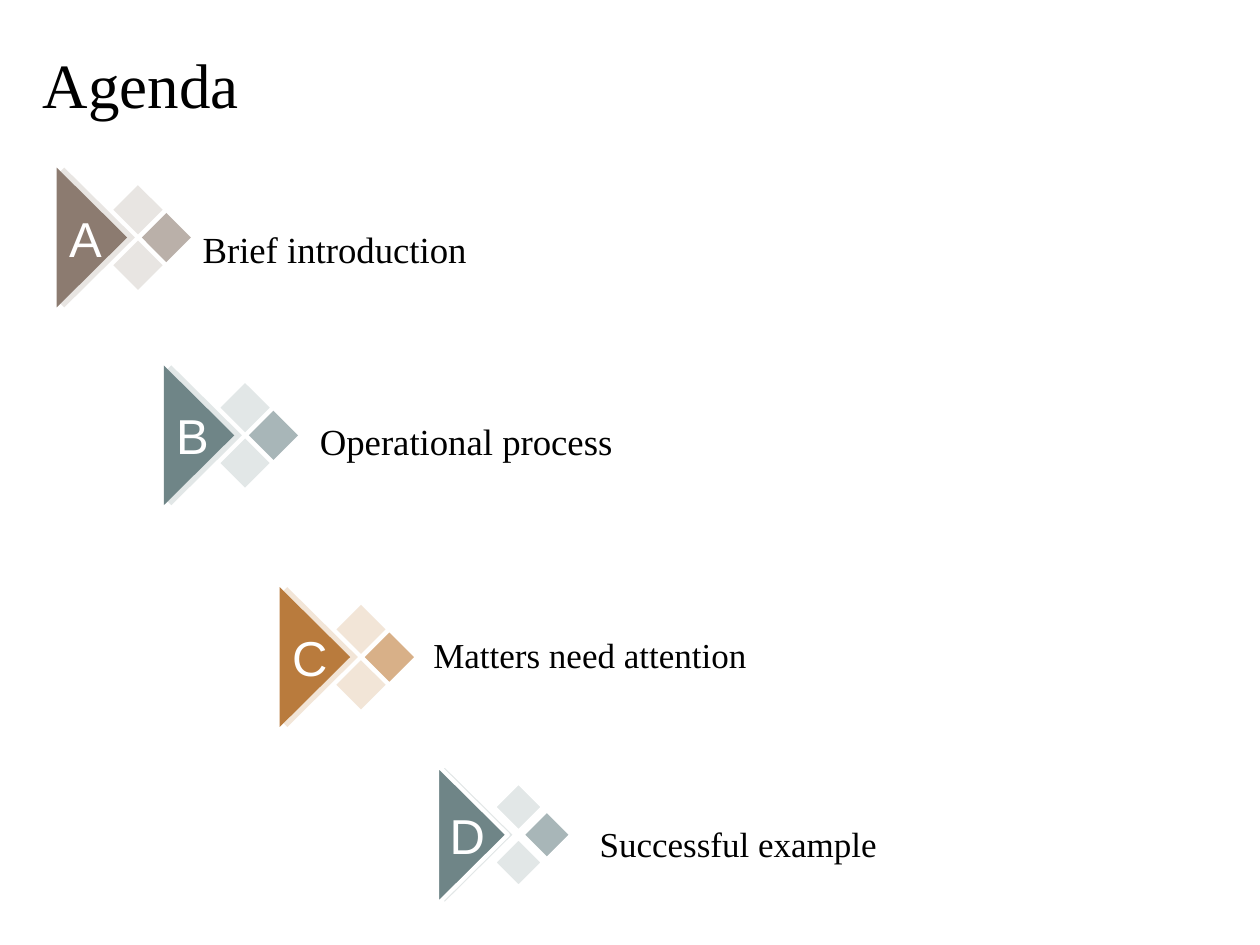
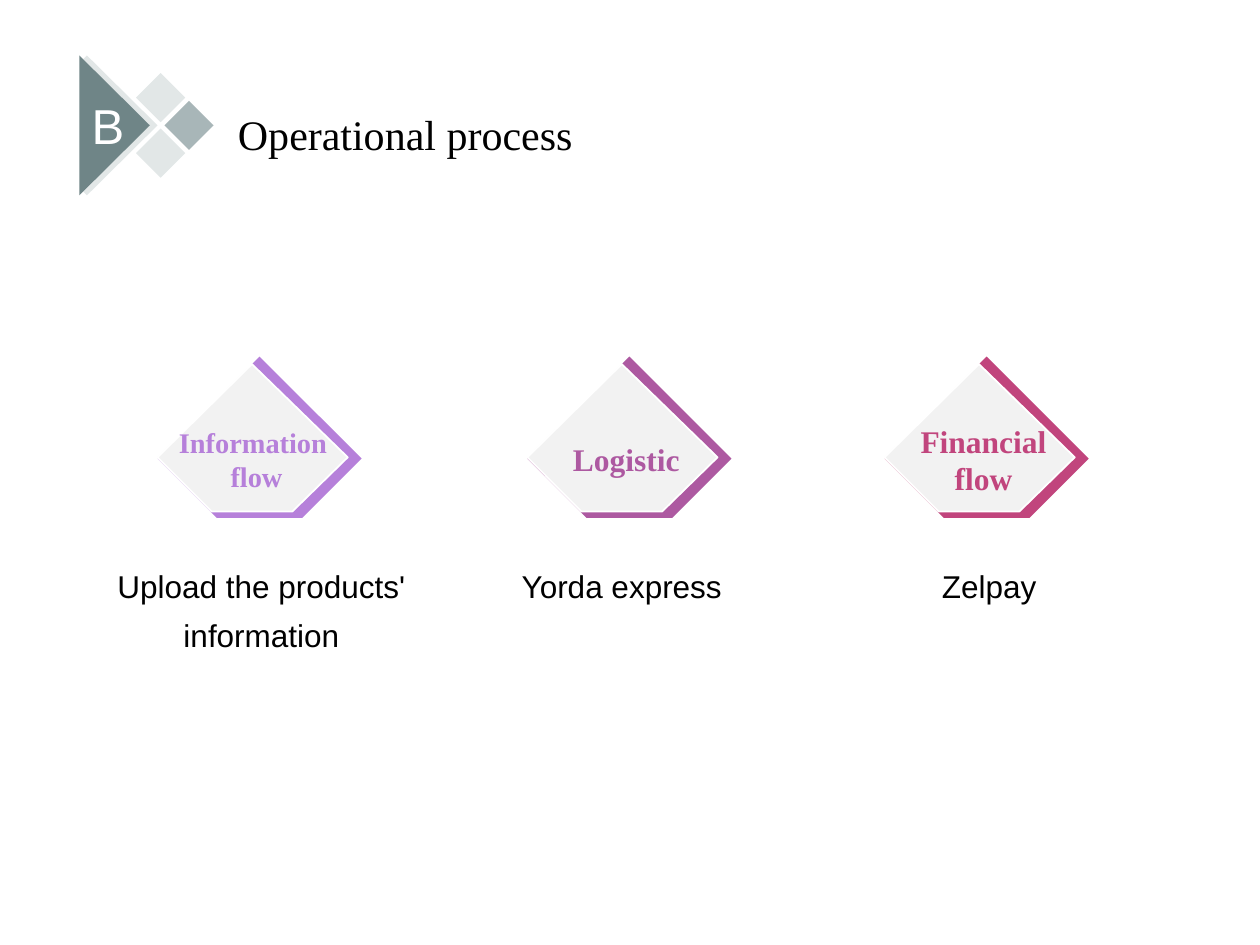
from pptx import Presentation
from pptx.dml.color import RGBColor
from pptx.enum.shapes import MSO_SHAPE
from pptx.enum.text import MSO_ANCHOR, PP_ALIGN
from pptx.util import Inches, Pt

DIAMOND = MSO_SHAPE.DIAMOND
TOP, MID, LOW = MSO_ANCHOR.TOP, MSO_ANCHOR.MIDDLE, MSO_ANCHOR.BOTTOM
LEFT, CENTER, JUST = PP_ALIGN.LEFT, PP_ALIGN.CENTER, PP_ALIGN.JUSTIFY
WIDE, HIGH = Inches(10), Inches(7.5)
COLS, ROWS = 100, 75
SERIF, SANS = "Times New Roman", "Arial"
BLACK, WHITE, PALE = "000000", "FFFFFF", "F2F2F2"
BROWN = ("8C7B70", "BAB0A9", "E8E5E2")
TEAL = ("6F8587", "A8B6B8", "E2E7E7")
AMBER = ("B97B3D", "D8B088", "F2E5D7")
ARROW = [(0, 0), (5.6, 5.55), (0, 11.1)]
SHADE = [(0.6, 0), (6.2, 5.55), (0.6, 11.1), (0.3, 10.8), (5.6, 5.55), (0.3, 0.3)]
BACK = [(8.1, 0), (16.2, 8.1), (11.5, 12.8), (4.7, 12.8), (0, 8.1)]
FRONT = [(7.5, 0.6), (15.1, 8), (10.7, 12.3), (4.3, 12.3), (0, 8)]


def color(code):
    return RGBColor.from_string(code)


class Deck:
    def __init__(self):
        self.file = Presentation()
        self.file.slide_width, self.file.slide_height = WIDE, HIGH
        self.slide = None

    def page(self):
        self.slide = self.file.slides.add_slide(self.file.slide_layouts[6])

    def spot(self, col, row):
        return round(WIDE * col / COLS), round(HIGH * row / ROWS)

    def paint(self, shape, fill, edge):
        shape.shadow.inherit = False
        shape.fill.solid()
        shape.fill.fore_color.rgb = color(fill)
        if edge:
            shape.line.color.rgb = color(WHITE)
            shape.line.width = Pt(edge)
        else:
            shape.line.fill.background()
        return shape

    def gem(self, col, row, size, fill, edge):
        box = self.spot(col, row) + self.spot(size, size)
        self.paint(self.slide.shapes.add_shape(DIAMOND, *box), fill, edge)

    def poly(self, col, row, points, fill, edge=0):
        spots = [self.spot(col + x, row + y) for x, y in points]
        outline = self.slide.shapes.build_freeform(*spots[0])
        outline.add_line_segments(spots[1:], close=True)
        return self.paint(outline.convert_to_shape(), fill, edge)

    def letter(self, shape, lines, size, font=SERIF, ink=BLACK, bold=False,
               align=LEFT, anchor=TOP, space=1.0, inset=(1, 0.5, 1, 0.5)):
        frame = shape.text_frame
        frame.word_wrap = True
        frame.vertical_anchor = anchor
        left, top, right, base = inset
        frame.margin_left, frame.margin_top = self.spot(left, top)
        frame.margin_right, frame.margin_bottom = self.spot(right, base)
        for i, line in enumerate(lines):
            para = frame.add_paragraph() if i else frame.paragraphs[0]
            para.alignment, para.line_spacing = align, space
            run = para.add_run()
            run.text = line
            run.font.name, run.font.size, run.font.bold = font, Pt(size), bold
            run.font.color.rgb = color(ink)

    def label(self, box, words, size, **style):
        place = self.spot(*box[:2]) + self.spot(*box[2:])
        self.letter(self.slide.shapes.add_textbox(*place), [words], size, **style)

    def badge(self, col, row, mark, tones, edge=0):
        dark, soft, light = tones
        for x, y, tone in ((4.5, 1.4, light), (4.5, 5.8, light), (6.75, 3.6, soft)):
            self.gem(col + x, row + y, 3.9, tone, edge)
        self.poly(col, row, SHADE, light, edge)
        self.letter(self.poly(col, row, ARROW, dark, edge), [mark], 28, font=SANS,
                    ink=WHITE, align=CENTER, anchor=MID, inset=(1, 0.5, 2.8, 0.5))

    def flow(self, col, lines, size, ink, box, note):
        self.poly(col, 28.3, BACK, ink)
        self.letter(self.poly(col, 28.3, FRONT, PALE, 1), lines, size, ink=ink,
                    bold=True, align=CENTER, anchor=MID, inset=(1.6, 3.9, 1, 0.5))
        self.label(box, note, 18, font=SANS, align=CENTER, space=1.3)


def agenda(deck):
    deck.page()
    low = {"anchor": LOW}
    loose = {"align": JUST, "space": 1.3}
    items = [
        (4.5, 13.3, "A", BROWN, 0, (15.1, 16.9, 34.3, 5.1), "Brief introduction", 21, low),
        (13, 29, "B", TEAL, 0, (24.4, 31.7, 38.8, 8.5), "Operational process", 21, loose),
        (22.2, 46.6, "C", AMBER, 0, (33.4, 49, 47.1, 5.1), "Matters need attention", 20, low),
        (34.7, 60.7, "D", TEAL, 2.25, (46.6, 63.5, 48.1, 5.6), "Successful example", 20, low),
    ]
    for col, row, mark, tones, edge, box, words, size, style in items:
        deck.badge(col, row, mark, tones, edge)
        deck.label(box, words, size, **style)
    deck.label((2.4, 3.1, 24.2, 7), "Agenda", 36)


def process(deck):
    deck.page()
    deck.badge(6.3, 4.4, "B", TEAL)
    deck.label((17.9, 6.9, 68.3, 6.2), "Operational process", 24, align=JUST, space=1.3)
    flows = [
        (12.5, ["Information ", "flow"], 16.2, "B680DA", 8.1, 25.3,
         "Upload the products' information"),
        (41.85, ["Logistic"], 18, "AD59A1", 36.2, 26.3, "Yorda express"),
        (70.2, ["Financial flow"], 18, "C1457D", 65.4, 26.2, "Zelpay"),
    ]
    for col, lines, size, ink, left, width, note in flows:
        deck.flow(col, lines, size, ink, (left, 43.6, width, 12.8), note)


def main():
    deck = Deck()
    agenda(deck)
    process(deck)
    deck.file.save("out.pptx")


if __name__ == "__main__":
    main()
